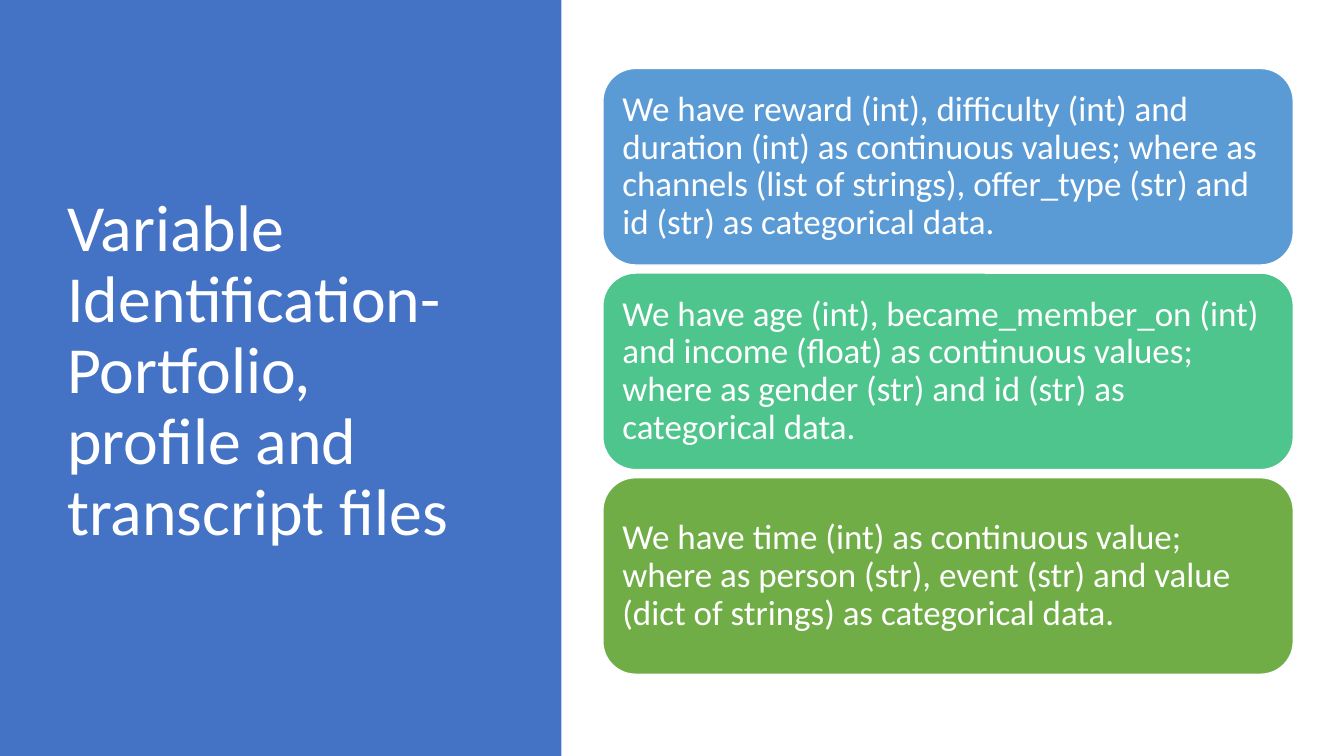
"""Build the variable identification slide: a title panel beside three data cards."""
from pptx import Presentation
from pptx.dml.color import RGBColor
from pptx.enum import shapes, text
from pptx.util import Pt

WHITE, PANEL = "FFFFFF", "4472C4"
TITLE = "Variable Identification-Portfolio, profile and transcript files"
CARDS = [
    ("5B9BD5", "We have reward (int), difficulty (int) and duration (int) as continuous values; "
               "where as channels (list of strings), offer_type (str) and id (str) as categorical data."),
    ("4DC58D", "We have age (int), became_member_on (int) and income (float) as continuous values; "
               "where as gender (str) and id (str) as categorical data."),
    ("70AD47", "We have time (int) as continuous value; "
               "where as person (str), event (str) and value (dict of strings) as categorical data."),
]
SLIDE_WIDTH, SLIDE_HEIGHT = 960, 540
PANEL_WIDTH = 401
CARD_LEFT, CARD_TOP, CARD_WIDTH, CARD_HEIGHT, CARD_GAP = 430.6, 48.9, 493.2, 140.4, 5.76


def color(value):
    return RGBColor.from_string(value)


def add_block(kind, box, fill):
    block = slide.shapes.add_shape(kind, *map(Pt, box))
    block.shadow.inherit = False
    block.fill.solid()
    block.fill.fore_color.rgb = color(fill)
    block.line.fill.background()
    return block


def write(holder, words, size, inset):
    frame = holder.text_frame
    frame.word_wrap = True
    frame.vertical_anchor = text.MSO_ANCHOR.MIDDLE
    frame.margin_left = frame.margin_right = Pt(7.2)
    frame.margin_top = frame.margin_bottom = Pt(inset)
    paragraph = frame.paragraphs[0]
    paragraph.text = words
    paragraph.alignment = text.PP_ALIGN.LEFT
    paragraph.line_spacing = 0.9
    paragraph.font.name = "Calibri"
    paragraph.font.size = Pt(size)
    paragraph.font.color.rgb = color(WHITE)


deck = Presentation()
deck.slide_width, deck.slide_height = Pt(SLIDE_WIDTH), Pt(SLIDE_HEIGHT)
slide = deck.slides.add_slide(deck.slide_layouts[6])

add_block(shapes.MSO_SHAPE.RECTANGLE, (0, 0, PANEL_WIDTH, SLIDE_HEIGHT), PANEL)
title = slide.shapes.add_textbox(Pt(41), Pt(49), Pt(299.5), Pt(433.4))
write(title, TITLE, 47, 3.6)

for row, (fill, words) in enumerate(CARDS):
    top = CARD_TOP + row * (CARD_HEIGHT + CARD_GAP)
    card = add_block(shapes.MSO_SHAPE.ROUNDED_RECTANGLE, (CARD_LEFT, top, CARD_WIDTH, CARD_HEIGHT), fill)
    card.line.color.rgb = color(WHITE)
    card.line.width = Pt(1)
    write(card, words, 25, 7.2)

deck.save("out.pptx")
